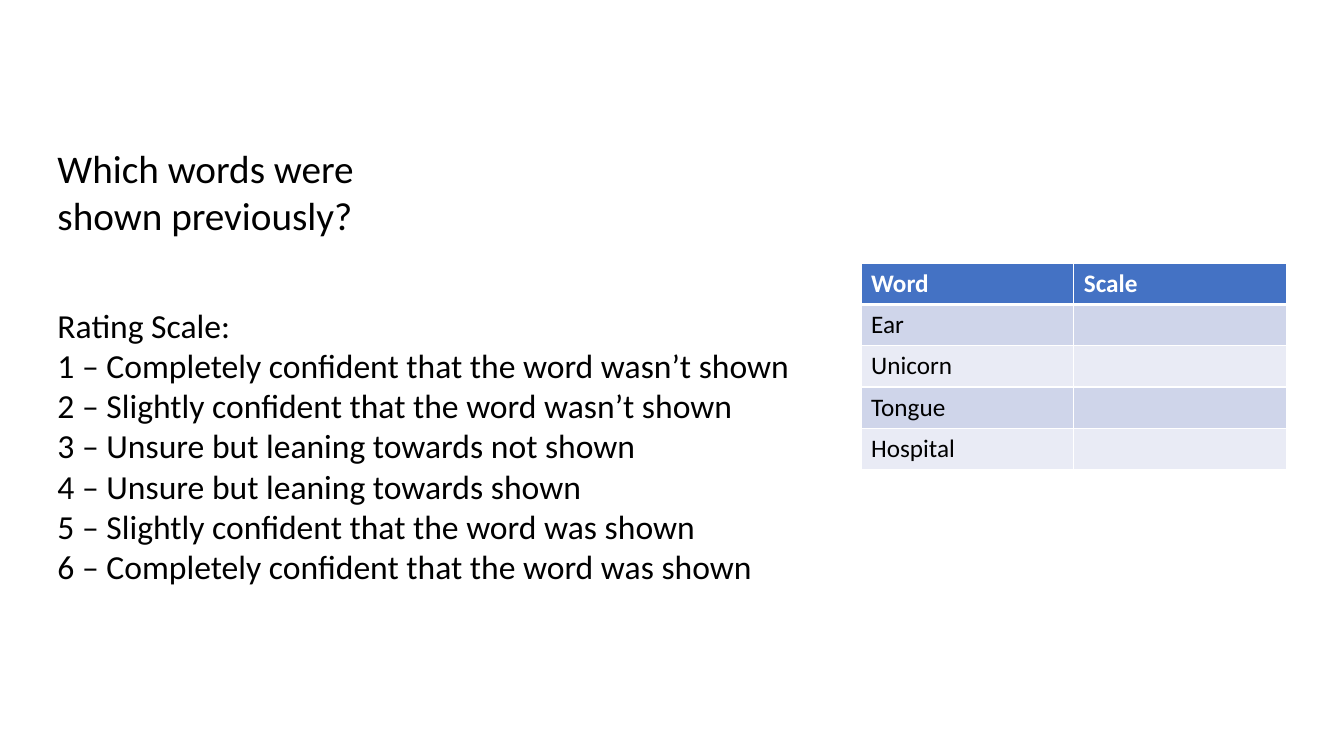
from pptx import Presentation
from pptx.dml.color import RGBColor
from pptx.enum import text
from pptx.oxml import parse_xml
from pptx.oxml import ns
from pptx import util as u

WIDTH, HEIGHT = 13.33, 7.5
FONT = "Calibri"
BLACK, WHITE, BLUE = "000000", "FFFFFF", "4472C4"
BANDS = ["CFD5EA", "E9EBF5"]
LEFT = 0.47

QUESTION = ["Which words were ", "shown previously?"]
RATINGS = [
    "Completely confident that the word wasn’t shown ",
    "Slightly confident that the word wasn’t shown ",
    "Unsure but leaning towards not shown ",
    "Unsure but leaning towards shown ",
    "Slightly confident that the word was shown ",
    "Completely confident that the word was shown ",
]
WORDS = ["Ear", "Unicorn", "Tongue", "Hospital"]


def color(hex_string):
    return RGBColor.from_string(hex_string)


def write(tf, lines, size=18, bold=False, fill=BLACK):
    """Fill a text frame with plain, left-aligned, unbulleted lines."""
    for i, line in enumerate(lines):
        p = tf.paragraphs[0] if i == 0 else tf.add_paragraph()
        p.alignment = text.PP_ALIGN.LEFT
        p.line_spacing = 1.0
        p.space_before = p.space_after = u.Pt(0)
        p_pr = p._p.get_or_add_pPr()
        p_pr.set("marL", "0")
        p_pr.set("indent", "0")
        p_pr.append(parse_xml(f"<a:buNone {ns.nsdecls('a')}/>"))
        r = p.add_run()
        r.text = line
        r.font.name, r.font.size, r.font.bold = FONT, u.Pt(size), bold
        r.font.color.rgb = color(fill)


def place_text(sp, box, lines, size):
    """Move a placeholder and write its lines from the top."""
    sp.left, sp.top, sp.width, sp.height = map(u.Inches, box)
    tf = sp.text_frame
    tf.word_wrap = True
    tf.auto_size = text.MSO_AUTO_SIZE.NONE
    tf.vertical_anchor = text.MSO_ANCHOR.TOP
    write(tf, lines, size=size)


def set_borders(cell, top=1, bottom=1):
    tc_pr = cell._tc.get_or_add_tcPr()
    for side, points in (("L", 1), ("R", 1), ("T", top), ("B", bottom)):
        tc_pr.append(parse_xml(
            f'<a:ln{side} {ns.nsdecls("a")} w="{u.Pt(points)}"><a:solidFill>'
            f'<a:srgbClr val="{WHITE}"/></a:solidFill></a:ln{side}>'))


def add_word_table(slide, left, top, col_width, row_height):
    rows = [["Word", "Scale"]] + [[word, ""] for word in WORDS]
    n_cols = len(rows[0])
    table = slide.shapes.add_table(
        len(rows), n_cols, u.Inches(left), u.Inches(top),
        u.Inches(col_width * n_cols), u.Inches(row_height * len(rows))).table
    for i, row in enumerate(rows):
        header = i == 0
        table.rows[i].height = u.Inches(row_height)
        for j, label in enumerate(row):
            cell = table.cell(i, j)
            # The rule under the header is thicker than the others
            set_borders(cell, top=3 if i == 1 else 1, bottom=3 if header else 1)
            cell.fill.solid()
            cell.fill.fore_color.rgb = color(BLUE if header else BANDS[(i - 1) % 2])
            if label:
                write(cell.text_frame, [label], bold=header,
                      fill=WHITE if header else BLACK)


def main():
    prs = Presentation()
    prs.slide_width, prs.slide_height = u.Inches(WIDTH), u.Inches(HEIGHT)
    slide = prs.slides.add_slide(prs.slide_layouts[1])

    # Words to rate
    add_word_table(slide, left=8.54, top=2.61, col_width=2.11, row_height=0.41)

    # Question
    place_text(slide.shapes.title, (LEFT, 1.38, 4.32, 1.04), QUESTION, size=28)

    # Rating scale
    scale = ["Rating Scale: "] + [f"{n} – {r}" for n, r in enumerate(RATINGS, 1)]
    place_text(slide.placeholders[1], (LEFT, 2.97, 7.6, 2.93), scale, size=24)

    prs.save("out.pptx")


main()
